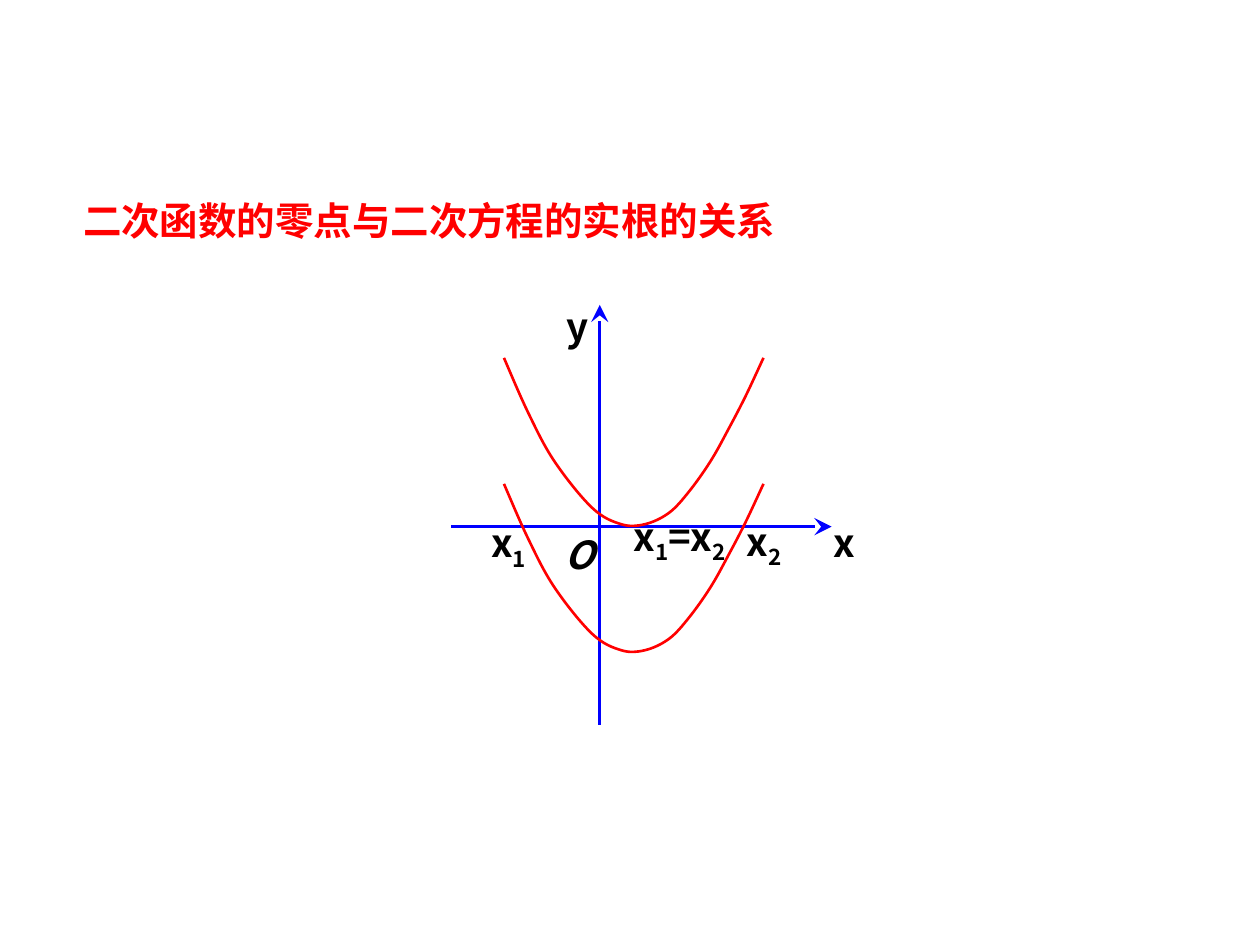
from lxml import etree
from pptx import Presentation
from pptx.dml.color import RGBColor
from pptx.enum.shapes import MSO_CONNECTOR
from pptx.enum.text import MSO_ANCHOR, MSO_AUTO_SIZE, PP_ALIGN
from pptx.oxml.ns import qn
from pptx.util import Inches, Pt

STRAIGHT = MSO_CONNECTOR.STRAIGHT
TOP = MSO_ANCHOR.TOP
NO_AUTOFIT = MSO_AUTO_SIZE.NONE
LEFT = PP_ALIGN.LEFT

RED = RGBColor(0xFF, 0x00, 0x00)
BLUE = RGBColor(0x00, 0x00, 0xFF)
BLACK = RGBColor(0x00, 0x00, 0x00)
FONT = "Noto Sans CJK SC"
LINE_WIDTH = Pt(1.5)

TITLE = "二次函数的零点与二次方程的实根的关系"
TITLE_PLACE = (0.56, 1.22, 7.84, 0.76)

# Start and end of each axis; the arrowhead is at the end
AXES = [((3.58, 4.18), (6.6, 4.18)), ((4.76, 5.75), (4.76, 2.42))]

# Pieces of text, place, italic, line spacing; digits are subscripts
LABELS = [
    (["O"], (4.38, 3.87, 0.78, 0.76), True, 1.8),
    (["x"], (6.52, 4.07, 0.78, 0.47), False, 1),
    (["y"], (4.4, 2.36, 0.78, 0.47), False, 1),
    (["x", "2"], (5.83, 4.06, 0.78, 0.52), False, 1),
    (["x", "1"], (3.8, 4.07, 0.78, 0.52), False, 1),
    (["x", "1", "=x", "2"], (4.93, 4.02, 1.36, 0.52), False, 1),
]

# Points on the parabola that touches the x axis; the other lies lower
PARABOLA = [
    (4, 2.84), (4.19, 3.27), (4.4, 3.66), (4.7, 4.03), (4.93, 4.16),
    (5.12, 4.16), (5.31, 4.07), (5.47, 3.9), (5.64, 3.66), (5.78, 3.41),
    (5.92, 3.14), (6.06, 2.84),
]
PARABOLA_DROPS = [1, 0]


def place_shape(shape, place):
    shape.left, shape.top, shape.width, shape.height = map(Inches, place)


def write_text(box, pieces, color, italic, spacing):
    frame = box.text_frame
    frame.word_wrap = True
    frame.auto_size = NO_AUTOFIT
    frame.vertical_anchor = TOP
    paragraph = frame.paragraphs[0]
    paragraph.alignment = LEFT
    paragraph.line_spacing = spacing
    for piece in pieces:
        span = paragraph.add_run()
        span.text = piece
        font = span.font
        font.name, font.size = FONT, Pt(22)
        font.bold, font.italic = True, italic
        font.color.rgb = color
        properties = span._r.get_or_add_rPr()
        etree.SubElement(properties, qn("a:ea"), typeface=FONT)
        if piece.isdigit():
            properties.set("baseline", "-25000")


def add_axis(page, start, end):
    axis = page.shapes.add_connector(STRAIGHT, *map(Inches, start + end))
    axis.line.color.rgb = BLUE
    axis.line.width = LINE_WIDTH
    etree.SubElement(axis.line._get_or_add_ln(), qn("a:tailEnd"),
                     type="stealth", w="lg", len="lg")
    etree.SubElement(axis._element.spPr, qn("a:effectLst"))


def round_corners(curve):
    """Turn the straight segments of an outline into a smooth spline."""
    outline = curve._element.spPr.find(".//" + qn("a:path"))
    knots = [(int(point.get("x")), int(point.get("y")))
             for point in outline.iter(qn("a:pt"))]
    padded = [knots[0], *knots, knots[-1]]
    for segment in outline.findall(qn("a:lnTo")):
        outline.remove(segment)
    for before, start, end, after in zip(padded, padded[1:], padded[2:], padded[3:]):
        leaving = [s + (e - b) / 6 for b, s, e in zip(before, start, end)]
        arriving = [e - (a - s) / 6 for s, e, a in zip(start, end, after)]
        bend = etree.SubElement(outline, qn("a:cubicBezTo"))
        for x, y in (leaving, arriving, end):
            etree.SubElement(bend, qn("a:pt"), x=str(round(x)), y=str(round(y)))


def add_parabola(page, drop):
    points = [(Inches(x), Inches(y + drop)) for x, y in PARABOLA]
    builder = page.shapes.build_freeform(*points[0])
    builder.add_line_segments(points[1:], close=False)
    curve = builder.convert_to_shape()
    round_corners(curve)
    curve.shadow.inherit = False
    curve.fill.background()
    curve.line.color.rgb = RED
    curve.line.width = LINE_WIDTH


def main():
    deck = Presentation()
    deck.slide_width, deck.slide_height = Inches(10), Inches(7.5)
    page = deck.slides.add_slide(deck.slide_layouts.get_by_name("Title Only"))
    title = page.shapes.title
    place_shape(title, TITLE_PLACE)
    write_text(title, [TITLE], RED, False, 1.8)
    for start, end in AXES:
        add_axis(page, start, end)
    for drop in PARABOLA_DROPS:
        add_parabola(page, drop)
    for pieces, place, italic, spacing in LABELS:
        box = page.shapes.add_textbox(*map(Inches, place))
        write_text(box, pieces, BLACK, italic, spacing)
    deck.save("out.pptx")


if __name__ == "__main__":
    main()
